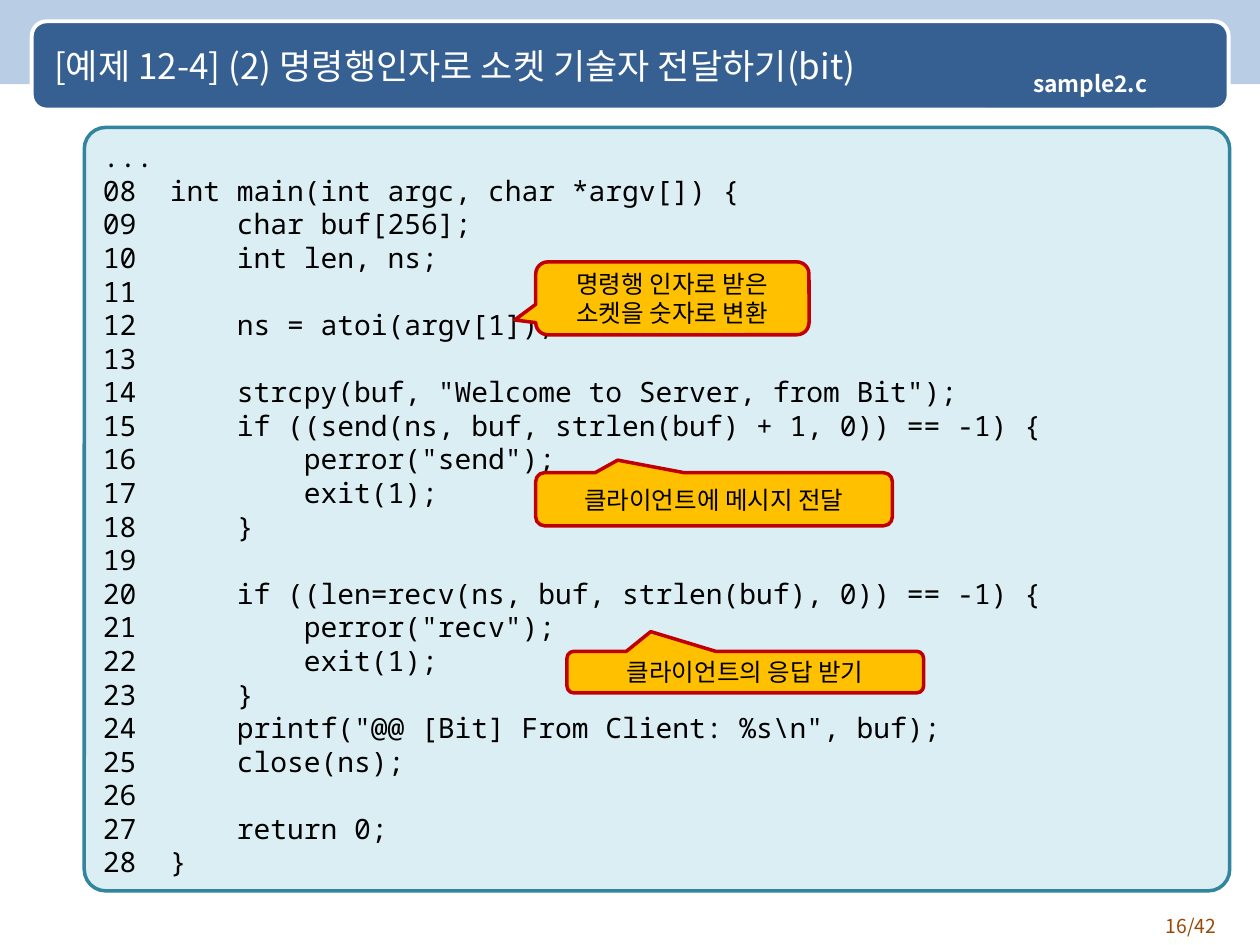
from dataclasses import dataclass

from lxml.etree import SubElement
from pptx import Presentation
from pptx.dml.color import RGBColor
from pptx.enum.shapes import MSO_SHAPE as Preset
from pptx.enum.text import MSO_ANCHOR as Anchor, MSO_AUTO_SIZE as Fit, PP_ALIGN as Align
from pptx.oxml.ns import qn
from pptx.util import Cm, Pt


@dataclass(frozen=True)
class Theme:
    sans: str = "Noto Sans CJK KR"
    mono: str = "Noto Sans Mono"
    white: str = "FFFFFF"
    black: str = "000000"
    sky: str = "B9CDE5"
    navy: str = "376092"
    brown: str = "984807"
    panel: str = "DBEEF4"
    teal: str = "31859C"
    amber: str = "FFC000"
    red: str = "C00000"
    title_size: float = 20
    code_size: float = 16
    note_size: float = 14
    file_size: float = 13
    number_size: float = 11


TITLE = "[예제 12-4] (2) 명령행인자로 소켓 기술자 전달하기(bit)"
FIRST_LINE = 8
CODE = r'''int main(int argc, char *argv[]) {
    char buf[256];
    int len, ns;

    ns = atoi(argv[1]);

    strcpy(buf, "Welcome to Server, from Bit");
    if ((send(ns, buf, strlen(buf) + 1, 0)) == -1) {
        perror("send");
        exit(1);
    }

    if ((len=recv(ns, buf, strlen(buf), 0)) == -1) {
        perror("recv");
        exit(1);
    }
    printf("@@ [Bit] From Client: %s\n", buf);
    close(ns);

    return 0;
}'''
CALLOUTS = [
    ("클라이언트에 메시지 전달", (10.8, 9.53, 7.19, 1.07), (-0.27, -0.737, 0.167)),
    ("명령행 인자로 받은 소켓을 숫자로 변환", (10.8, 5.28, 5.51, 1.47), (-0.577, 0.297, 0.167)),
    ("클라이언트의 응답 받기", (11.43, 13.13, 7.19, 0.84), (-0.265, -0.972, 0.167)),
]


class SlideBuilder:
    def __init__(self, page, theme):
        self.page = page
        self.theme = theme

    def add_text(self, box, lines, size, color, font=None, bold=False, anchor=Anchor.MIDDLE,
                 inset=(0.25, 0.13), **para_format):
        frame = box.text_frame
        across, down = map(Cm, inset)
        frame_format = {
            "word_wrap": True, "auto_size": Fit.NONE, "vertical_anchor": anchor,
            "margin_left": across, "margin_right": across,
            "margin_top": down, "margin_bottom": down,
        }
        for name, value in frame_format.items():
            setattr(frame, name, value)
        font_format = {"name": font or self.theme.sans, "size": Pt(size), "bold": bold}
        for index, line in enumerate(lines):
            para = frame.add_paragraph() if index else frame.paragraphs[0]
            for name, value in para_format.items():
                setattr(para, name, value)
            span = para.add_run()
            span.text = line
            for name, value in font_format.items():
                setattr(span.font, name, value)
            span.font.color.rgb = RGBColor.from_string(color)
            east_asian = SubElement(span.font._element, qn("a:ea"))
            east_asian.set("typeface", font_format["name"])

    def shape(self, preset, area, fill, line=None, width=2, adjust=()):
        box = self.page.shapes.add_shape(preset, *map(Cm, area))
        box.shadow.inherit = False
        box.fill.solid()
        box.fill.fore_color.rgb = RGBColor.from_string(fill)
        if line:
            box.line.color.rgb = RGBColor.from_string(line)
            box.line.width = Pt(width)
        else:
            box.line.fill.background()
        for index, value in enumerate(adjust):
            box.adjustments[index] = value
        return box

    def title(self, text, area):
        box = self.page.shapes.title
        for name, value in zip(("left", "top", "width", "height"), area):
            setattr(box, name, Cm(value))
        self.page.shapes.element.append(box.element)
        self.add_text(box, [text], self.theme.title_size, self.theme.white,
                      alignment=Align.LEFT)

    def page_number(self, text, area):
        box = self.page.shapes.add_textbox(*map(Cm, area))
        self.add_text(box, [text], self.theme.number_size, self.theme.brown,
                      anchor=Anchor.TOP, alignment=Align.RIGHT)

    def file_label(self, text, area):
        box = self.shape(Preset.RECTANGLE, area, self.theme.navy)
        self.add_text(box, [text], self.theme.file_size, self.theme.white, bold=True,
                      inset=(0.15, 0.15), alignment=Align.RIGHT, line_spacing=0.9,
                      space_after=Pt(5.6))

    def code(self, lines, area):
        box = self.shape(Preset.ROUNDED_RECTANGLE, area, self.theme.panel,
                         self.theme.teal, adjust=(0.028,))
        self.add_text(box, lines, self.theme.code_size, self.theme.black,
                      font=self.theme.mono, alignment=Align.JUSTIFY)

    def callout(self, text, area, adjust):
        box = self.shape(Preset.ROUNDED_RECTANGULAR_CALLOUT, area, self.theme.amber,
                         self.theme.red, adjust=adjust)
        self.add_text(box, [text], self.theme.note_size, self.theme.black,
                      alignment=Align.CENTER)


def main():
    deck = Presentation()
    deck.slide_width, deck.slide_height = Cm(25.4), Cm(19.05)
    theme = Theme()
    builder = SlideBuilder(deck.slides.add_slide(deck.slide_layouts[5]), theme)

    builder.shape(Preset.RECTANGLE, (0, 0, 25.4, 1.7), theme.sky)
    builder.shape(Preset.ROUNDED_RECTANGLE, (0.64, 0.43, 24.13, 1.78), theme.navy,
                  theme.white, width=2.25, adjust=(0.167,))
    builder.page_number("16/42", (22.66, 18.31, 2.11, 0.74))
    builder.title(TITLE, (0.84, 0.48, 23.5, 1.7))
    builder.file_label("sample2.c", (19.89, 1.27, 3.38, 0.89))

    numbered = [f"{number:02}  {line}".rstrip()
                for number, line in enumerate(CODE.splitlines(), FIRST_LINE)]
    builder.code(["...", *numbered], (1.7, 2.57, 23.09, 15.39))
    for text, area, adjust in CALLOUTS:
        builder.callout(text, area, adjust)

    deck.save("out.pptx")


if __name__ == "__main__":
    main()
